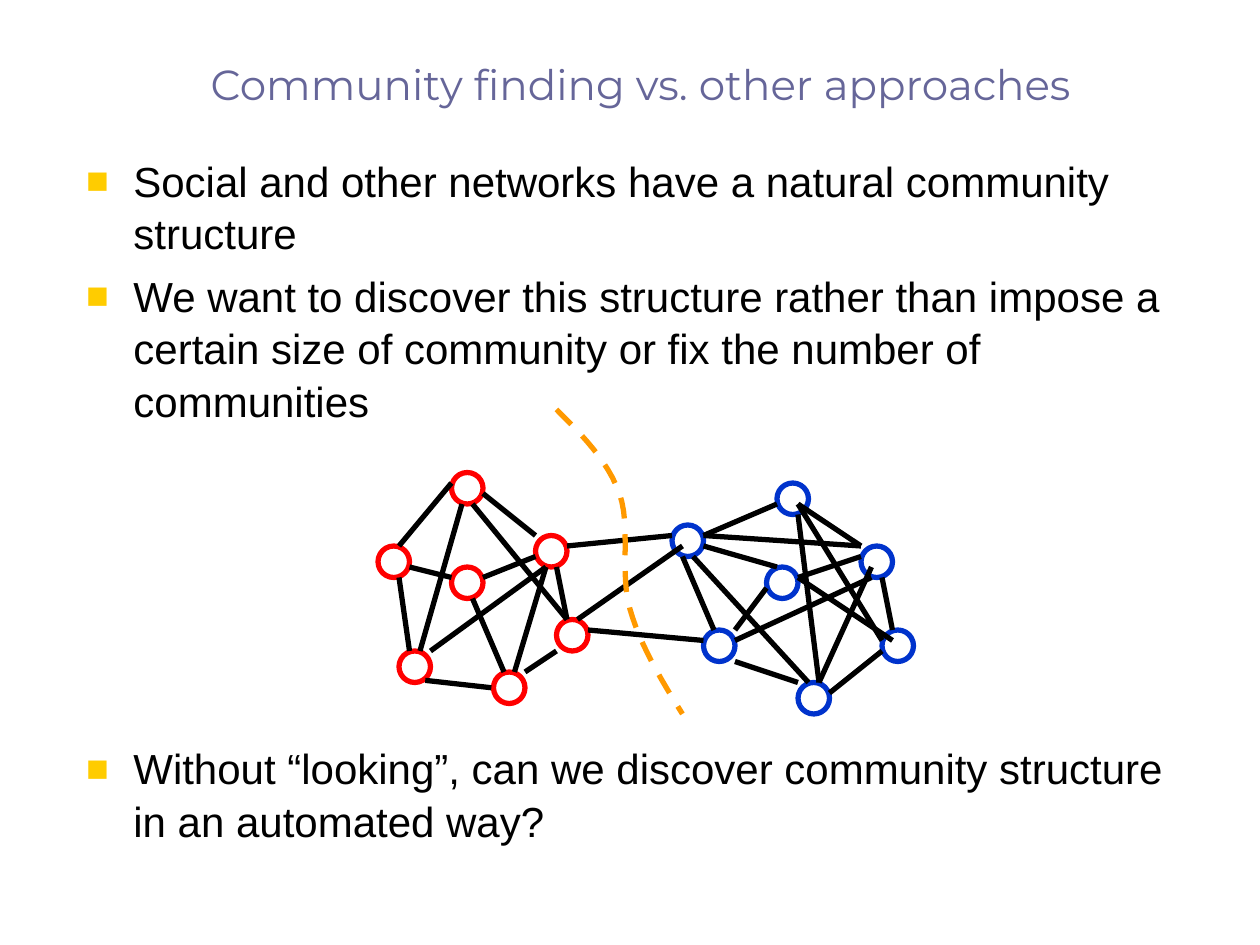
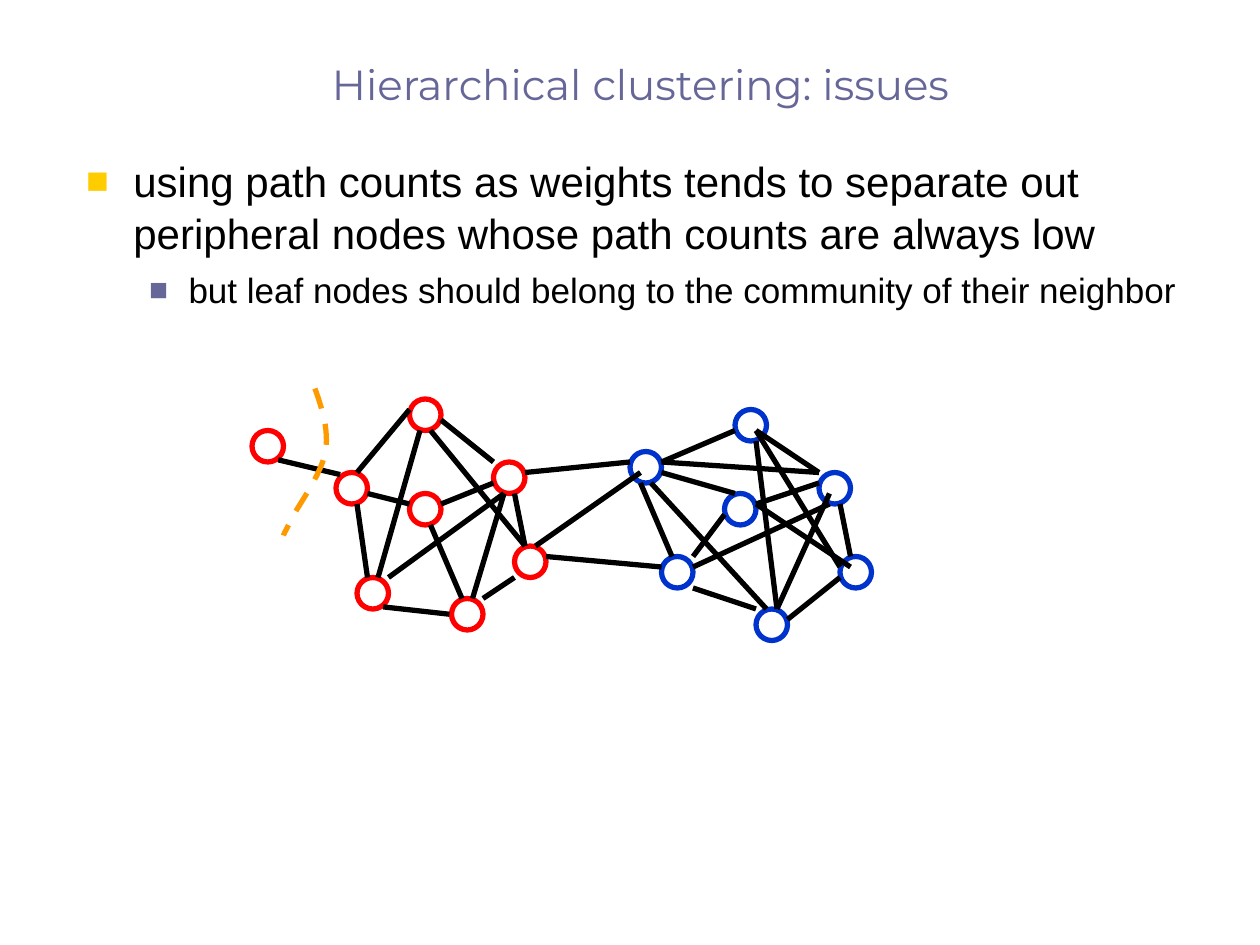
from lxml import etree
from pptx import Presentation
from pptx import util as u
from pptx.dml.color import RGBColor
from pptx.enum import dml, shapes, text
from pptx.oxml import parse_xml
from pptx.oxml.ns import nsdecls, qn

COLORS = {"title": "666699", "text": "000000", "bullet": "FFCC00", "sub_bullet": "666699",
          "red": "FF0000", "blue": "0033CC", "edge": "000000", "cut": "FF9900"}

# list level: left margin, hanging indent, space before, size, bullet colour
LEVELS = [(27, 27, 6, 24, "bullet"), (58.5, 22.5, 5, 20, "sub_bullet")]

# The network lies on a grid of 6 points.
GRID = 6
NODE = 3
NODES = {
    "red": [(36, 52), (43, 45), (51, 51), (38, 62), (43, 54), (47, 64), (53, 59)],
    "blue": [(64, 50), (74, 46), (82, 52), (67, 60), (73, 54), (76, 65), (84, 60)],
}
EDGES = [
    (40.5, 64.8, 46.8, 65.5), (38, 55, 39, 62), (38, 52, 43, 46), (39, 54, 43, 55),
    (40, 62, 44, 48), (46, 47, 51, 51), (45, 48, 54, 59), (46, 55, 51, 53),
    (41, 62, 52, 54), (48, 64, 45, 57), (49, 64, 52, 54), (54, 59, 53, 54),
    (50, 64, 53, 62), (54, 52, 64, 51), (56, 60, 67, 61), (67, 51, 74, 48),
    (67, 52, 74, 54), (68, 60, 65, 53), (70, 60, 73, 56), (70, 61, 83, 55),
    (70, 63, 76, 65), (76, 49, 78, 65), (79, 66, 84, 62), (78, 65, 83, 54),
    (82, 52, 76, 48), (84, 55, 85, 60), (84, 61, 76, 48), (82, 53, 76, 55),
    (85, 61, 76, 55), (67, 51, 82, 52), (55, 59, 65, 52), (66, 53, 77, 65),
]

# items: (level, text, space before or None for that of the level)
# cut: start point, then two control points and an end point for each curve
SLIDES = [
    {"title": "Community finding vs. other approaches",
     "items": [
         (0, "Social and other networks have a natural community structure", None),
         (0, "We want to discover this structure rather than impose a certain size of "
             "community or fix the number of communities", None),
         (0, "Without “looking”, can we discover community structure in an automated way?", 180)],
     "body_height": 396, "shift": (0, 0), "leaf_nodes": [], "leaf_edges": [],
     "cut": [(318, 234), (332.4, 248.4), (347, 262.8), (354, 282), (360.7, 301),
             (354, 327), (360, 348), (365.8, 368.6), (378, 388.8), (390, 408)]},
    {"title": "Hierarchical clustering: issues",
     "items": [
         (0, "using path counts as weights tends to separate out peripheral nodes whose "
             "path counts are always low", None),
         (1, "but leaf nodes should belong to the community of their neighbor", None)],
     "body_height": 162, "shift": (-4, -7),
     "leaf_nodes": [(28, 48)], "leaf_edges": [(30.5, 50.8, 36.4, 52.2)],
     "cut": [(180, 222), (184.3, 234), (188, 246), (186, 258), (184, 270),
             (172.5, 286), (168, 294), (164, 302), (162.7, 304), (162, 306)]},
]


def style_line(sp, color):
    sp.line.color.rgb = RGBColor.from_string(COLORS[color])
    sp.line.width = u.Pt(3)


def add_text(p, words, font, size, color):
    r = p.add_run()
    r.text = words
    r.font.name = font
    r.font.size = u.Pt(size)
    r.font.color.rgb = RGBColor.from_string(COLORS[color])


prs = Presentation()
prs.slide_width, prs.slide_height = u.Pt(720), u.Pt(540)

for data in SLIDES:
    s = prs.slides.add_slide(prs.slide_layouts[1])

    title, body = s.shapes.title, s.placeholders[1]
    for sp, top, height in ((title, 24, 42), (body, 84, data["body_height"])):
        sp.left, sp.top, sp.width, sp.height = u.Pt(42), u.Pt(top), u.Pt(648), u.Pt(height)
        sp.text_frame.word_wrap = True
        sp.text_frame.auto_size = text.MSO_AUTO_SIZE.NONE
    title.text_frame.vertical_anchor = text.MSO_ANCHOR.BOTTOM
    p = title.text_frame.paragraphs[0]
    p.alignment = text.PP_ALIGN.CENTER
    add_text(p, data["title"], "Montserrat", 24, "title")

    tf = body.text_frame
    for i, (level, words, gap) in enumerate(data["items"]):
        margin, hanging, before, size, bullet = LEVELS[level]
        p = tf.add_paragraph() if i else tf.paragraphs[0]
        p.level = level
        pPr = p._p.get_or_add_pPr()
        pPr.set("marL", str(u.Pt(margin)))
        pPr.set("indent", str(-u.Pt(hanging)))
        for xml in (f'<a:buClr {nsdecls("a")}><a:srgbClr val="{COLORS[bullet]}"/></a:buClr>',
                    f'<a:buSzPct {nsdecls("a")} val="90000"/>',
                    f'<a:buFont {nsdecls("a")} typeface="Arial"/>',
                    f'<a:buChar {nsdecls("a")} char="■"/>'):
            pPr.append(parse_xml(xml))
        p.line_spacing = 1.04
        p.space_before = u.Pt((gap or before) if i else 0)
        add_text(p, words, "Arial", size, "text")

    dx, dy = data["shift"]
    nodes = {"red": NODES["red"] + data["leaf_nodes"], "blue": NODES["blue"]}
    for color, places in nodes.items():
        for x, y in places:
            sp = s.shapes.add_shape(shapes.MSO_SHAPE.OVAL, u.Pt((x + dx) * GRID),
                                    u.Pt((y + dy) * GRID), u.Pt(NODE * GRID), u.Pt(NODE * GRID))
            sp.shadow.inherit = False
            sp.fill.background()
            style_line(sp, color)

    for x1, y1, x2, y2 in EDGES + data["leaf_edges"]:
        edge = s.shapes.add_connector(shapes.MSO_CONNECTOR.STRAIGHT,
                                      u.Pt((x1 + dx) * GRID), u.Pt((y1 + dy) * GRID),
                                      u.Pt((x2 + dx) * GRID), u.Pt((y2 + dy) * GRID))
        style_line(edge, "edge")
        etree.SubElement(edge._element.spPr, qn("a:effectLst"))

    # Each Bézier curve of the cut becomes a chain of short segments.
    cut, steps, points = data["cut"], 12, []
    for k in range(0, len(cut) - 1, 3):
        for step in range(1, steps + 1):
            t = step / steps
            weights = ((1 - t) ** 3, 3 * t * (1 - t) ** 2, 3 * t * t * (1 - t), t ** 3)
            points.append([u.Pt(sum(w * c[axis] for w, c in zip(weights, cut[k:k + 4])))
                           for axis in (0, 1)])
    builder = s.shapes.build_freeform(u.Pt(cut[0][0]), u.Pt(cut[0][1]))
    builder.add_line_segments(points, close=False)
    sp = builder.convert_to_shape()
    sp.shadow.inherit = False
    sp.fill.background()
    style_line(sp, "cut")
    sp.line.dash_style = dml.MSO_LINE.DASH

prs.save("out.pptx")
